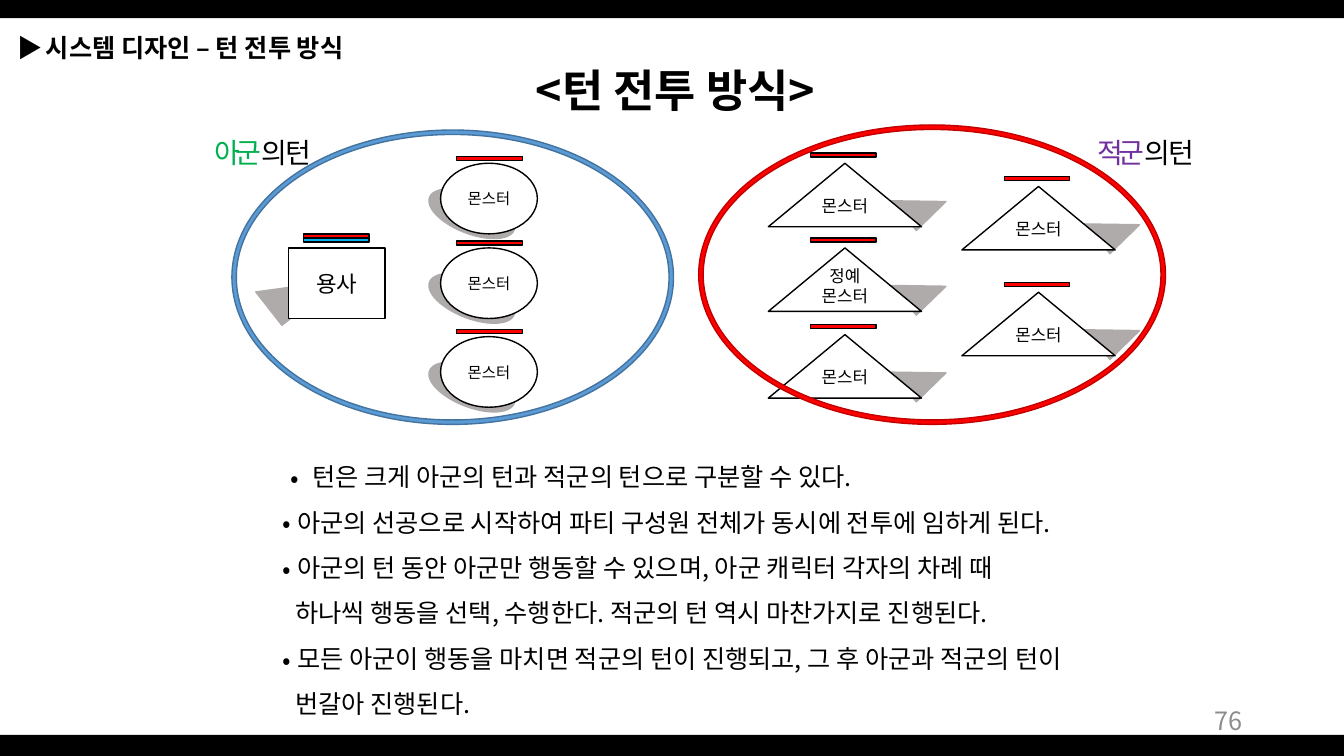
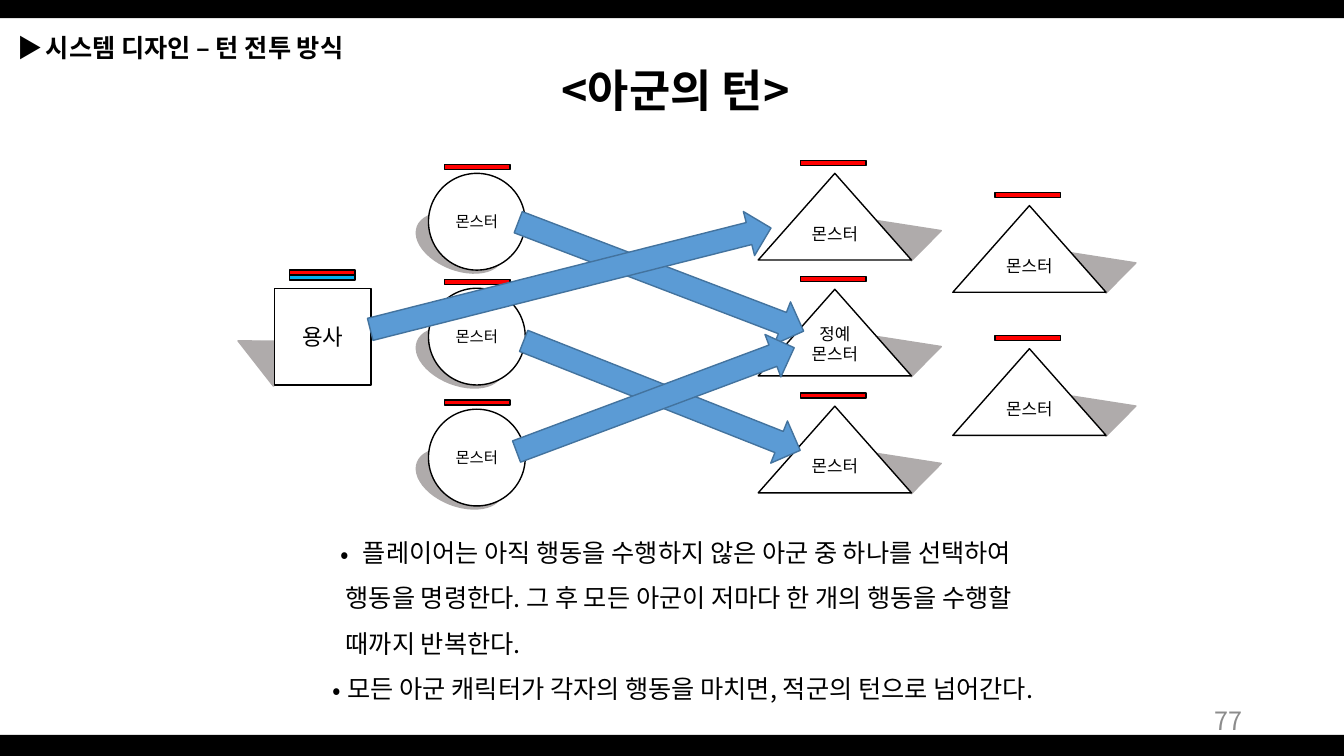
from lxml.etree import SubElement as Sub
from pptx import Presentation
from pptx.dml.color import RGBColor as RGB
from pptx.enum.shapes import MSO_SHAPE as Form
from pptx.enum.text import MSO_ANCHOR as Anchor, MSO_AUTO_SIZE as Auto, PP_ALIGN as Align
from pptx.oxml.ns import qn
from pptx.util import Inches, Pt

COLORS = {
    "black": "000000", "white": "FFFFFF", "gray": "8C8C8C", "shade": "AFABAB",
    "blue": "5B9BD5", "navy": "43739E", "red": "FF0000", "wine": "C00000",
    "sky": "00B0F0", "green": "00B050", "purple": "7030A0",
}
FONT = "Noto Sans CJK KR"
WIDE, HIGH = 13.33, 7.5
# Left margin and first-line indent of each kind of body line
MARGINS = {"lead": (0.3, -0.22), "dot": (0.15, -0.15), "more": (0.13, 0)}


def color(name):
    return RGB.from_string(COLORS[name])


class Deck:
    """Holds the style and the current slide."""

    def __init__(self):
        self.prs = Presentation()
        self.prs.slide_width, self.prs.slide_height = Inches(WIDE), Inches(HIGH)

    # Text
    def run(self, para, text, size, tint="black", bold=False, gap=0):
        run = para.add_run()
        run.text = text
        for key, value in {"name": FONT, "size": Pt(size), "bold": bold}.items():
            setattr(run.font, key, value)
        run.font.color.rgb = color(tint)
        props = run.font._element
        Sub(props, qn("a:ea")).set("typeface", FONT)
        if gap:
            props.set("spc", str(gap * 100))

    def frame(self, shape, **formats):
        for key, value in {"word_wrap": True, "auto_size": Auto.NONE, **formats}.items():
            setattr(shape.text_frame, key, value)
        return shape.text_frame

    def text(self, box, runs, align=Align.LEFT, anchor=Anchor.TOP):
        shape = self.slide.shapes.add_textbox(*map(Inches, box))
        para = self.frame(shape, vertical_anchor=anchor).paragraphs[0]
        para.alignment = align
        for part in runs:
            self.run(para, *part)

    def title(self, text):
        shape = self.slide.shapes.title
        for key, value in zip(("left", "top", "width", "height"), (3.29, 0.57, 6.82, 0.64)):
            setattr(shape, key, Inches(value))
        para = self.frame(shape, vertical_anchor=Anchor.TOP).paragraphs[0]
        para.alignment = Align.CENTER
        for part, gap in (("<", -3), (text, 0), (">", -3)):
            self.run(para, part, 32, "black", True, gap)

    def body(self, box, lines):
        shape = self.slide.shapes.add_textbox(*map(Inches, box))
        frame = self.frame(shape)
        for i, (kind, text) in enumerate(lines):
            para = frame.add_paragraph() if i else frame.paragraphs[0]
            para.line_spacing = 1.5
            props = para._p.get_or_add_pPr()
            for key, value in zip(("marL", "indent"), MARGINS[kind]):
                props.set(key, str(Inches(value)))
            if kind != "more":
                Sub(props, qn("a:buFont")).set("typeface", FONT)
                Sub(props, qn("a:buChar")).set("char", "•")
            self.run(para, text, 18)

    # Shapes
    def shape(self, form, box, fill, line=None, turn=0, adj=None):
        shape = self.slide.shapes.add_shape(form, *map(Inches, box))
        shape.shadow.inherit = False
        shape.fill.solid()
        shape.fill.fore_color.rgb = color(fill)
        if line:
            shape.line.color.rgb = color(line)
            shape.line.width = Pt(1)
        else:
            shape.line.fill.background()
        shape.rotation = turn
        if adj is not None:
            shape.adjustments[0] = adj
        return shape

    def figure(self, form, box, words, size, low=0):
        shape = self.shape(form, box, "white", "black")
        frame = self.frame(shape, vertical_anchor=Anchor.MIDDLE, margin_left=0, margin_right=0,
                           margin_top=0, margin_bottom=Inches(low))
        for i, word in enumerate(words):
            para = frame.add_paragraph() if i else frame.paragraphs[0]
            para.alignment = Align.CENTER
            self.run(para, word, size)

    def shade(self, form, box, turn, adj=None):
        self.shape(form, box, "shade", "shade", turn, adj)

    def bar(self, x, y, high, fill="red"):
        self.shape(Form.RECTANGLE, (x, y, 0.65, high), fill, "black")

    # Fighters: shadow, body and health bar
    def hero(self, x, y, look):
        dx, dy, high = look["hero_shade"]
        self.shade(Form.ISOSCELES_TRIANGLE, (x + dx, y + dy, 0.72, high), 322, 0)
        self.figure(Form.RECTANGLE, (x, y, 0.96, look["ball"]), ["용사"], 16)
        thick = look["bar"]
        top = y - look["hero_lift"]
        for i, fill in enumerate(("red", "sky")):
            self.bar(x + 0.15, top + i * thick, thick, fill)

    def ball(self, x, y, look):
        high, deep = look["ball"], look["ball_shade"]
        self.shade(Form.OVAL, (x - 0.14, y + high - deep, 0.9, deep), 21.1)
        self.figure(Form.OVAL, (x, y, 0.96, high), ["몬스터"], 11)
        self.bar(x + 0.16, y - look["ball_lift"], look["bar"])

    def peak(self, x, y, look, elite=False):
        dx, dy, wide, high = look["peak_shade"]
        self.shade(Form.ISOSCELES_TRIANGLE, (x + dx, y + dy, wide, high), 49, 0.94)
        words = ["정예", "몬스터"] if elite else ["몬스터"]
        self.figure(Form.ISOSCELES_TRIANGLE, (x, y, 1.52, look["peak"]), words, 12,
                    0.2 if elite else 0.1)
        self.bar(x + 0.42, y - look["peak_lift"], look["bar"])

    def field(self, look, hero, balls, front, back):
        self.hero(*hero, look)
        x, tops = balls
        for y in tops:
            self.ball(x, y, look)
        x, tops = front
        for i, y in enumerate(tops):
            self.peak(x, y, look, elite=i == 1)
        x, tops = back
        for y in tops:
            self.peak(x, y, look)

    # Slide with the shared parts
    def page(self, title, number):
        self.slide = self.prs.slides.add_slide(self.prs.slide_layouts[5])
        for y, high in ((7.29, 0.22), (0, 0.18)):
            self.shape(Form.RECTANGLE, (0, y, WIDE, high), "black")
        self.title(title)
        self.text((9.42, 6.95, 3, 0.4), [(str(number), 18, "gray")], Align.RIGHT, Anchor.MIDDLE)
        self.text((0.08, 0.27, 4.17, 0.4), [
            ("▶ ", 18, "black", False, -2), ("시스템 디자인 – 턴 전투 방식", 18, "black", True)])

    def ring(self, box, fill, line):
        self.shape(Form.DONUT, box, fill, line, adj=0.015)

    def label(self, x, side, tint):
        self.text((x, 1.29, 1.73, 0.32), [
            (side, 20, tint, False, -3), ("의 턴", 20, "black", False, -3)], Align.CENTER)

    def arrow(self, box, turn):
        self.shape(Form.RIGHT_ARROW, box, "blue", "navy", turn)


FLAT = {
    "ball": 0.7, "ball_shade": 0.4, "ball_lift": 0.07, "bar": 0.04,
    "hero_shade": (-0.27, 0.17, 0.42), "hero_lift": 0.14,
    "peak": 0.63, "peak_shade": (1.3, 0.18, 0.39, 0.41), "peak_lift": 0.1,
}
TALL = {
    "ball": 0.96, "ball_shade": 0.54, "ball_lift": 0.09, "bar": 0.05,
    "hero_shade": (-0.26, 0.24, 0.57), "hero_lift": 0.18,
    "peak": 0.86, "peak_shade": (1.24, 0.32, 0.53, 0.42), "peak_lift": 0.13,
}


def main():
    deck = Deck()

    # Both turns
    deck.page("턴 전투 방식", 76)
    deck.body((2.7, 4.38, 8.99, 2.83), [
        ("lead", "턴은 크게 아군의 턴과 적군의 턴으로 구분할 수 있다."),
        ("dot", "아군의 선공으로 시작하여 파티 구성원 전체가 동시에 전투에 임하게 된다."),
        ("dot", "아군의 턴 동안 아군만 행동할 수 있으며, 아군 캐릭터 각자의 차례 때"),
        ("more", "하나씩 행동을 선택, 수행한다. 적군의 턴 역시 마찬가지로 진행된다."),
        ("dot", "모든 아군이 행동을 마치면 적군의 턴이 진행되고, 그 후 아군과 적군의 턴이"),
        ("more", "번갈아 진행된다."),
    ])
    deck.field(FLAT, hero=(2.86, 2.46), balls=(4.37, (1.62, 2.46, 3.34)),
               front=(7.62, (1.62, 2.46, 3.32)), back=(9.54, (1.85, 2.9)))
    deck.ring((2.3, 1.29, 4.38, 2.92), "blue", "navy")
    deck.label(1.74, "아군", "green")
    deck.ring((6.93, 1.24, 4.63, 2.97), "red", "wine")
    deck.label(10.5, "적군", "purple")

    # The allies' turn
    deck.page("아군의 턴", 77)
    deck.body((3.2, 5.13, 8.08, 1.92), [
        ("lead", "플레이어는 아직 행동을 수행하지 않은 아군 중 하나를 선택하여"),
        ("more", "행동을 명령한다. 그 후 모든 아군이 저마다 한 개의 행동을 수행할"),
        ("more", "때까지 반복한다."),
        ("dot", "모든 아군 캐릭터가 각자의 행동을 마치면, 적군의 턴으로 넘어간다."),
    ])
    deck.field(TALL, hero=(2.72, 2.86), balls=(4.25, (1.72, 2.86, 4.06)),
               front=(7.52, (1.72, 2.87, 4.03)), back=(9.45, (2.04, 3.46)))
    for x, y, wide, turn in ((5.04, 2.52, 3.03, 20.9), (3.61, 2.54, 4.1, 345.8),
                             (5.09, 3.7, 2.95, 21.6), (5.03, 3.74, 2.94, 339.5)):
        deck.arrow((x, y, wide, 0.45), turn)

    deck.prs.save("out.pptx")


if __name__ == "__main__":
    main()
